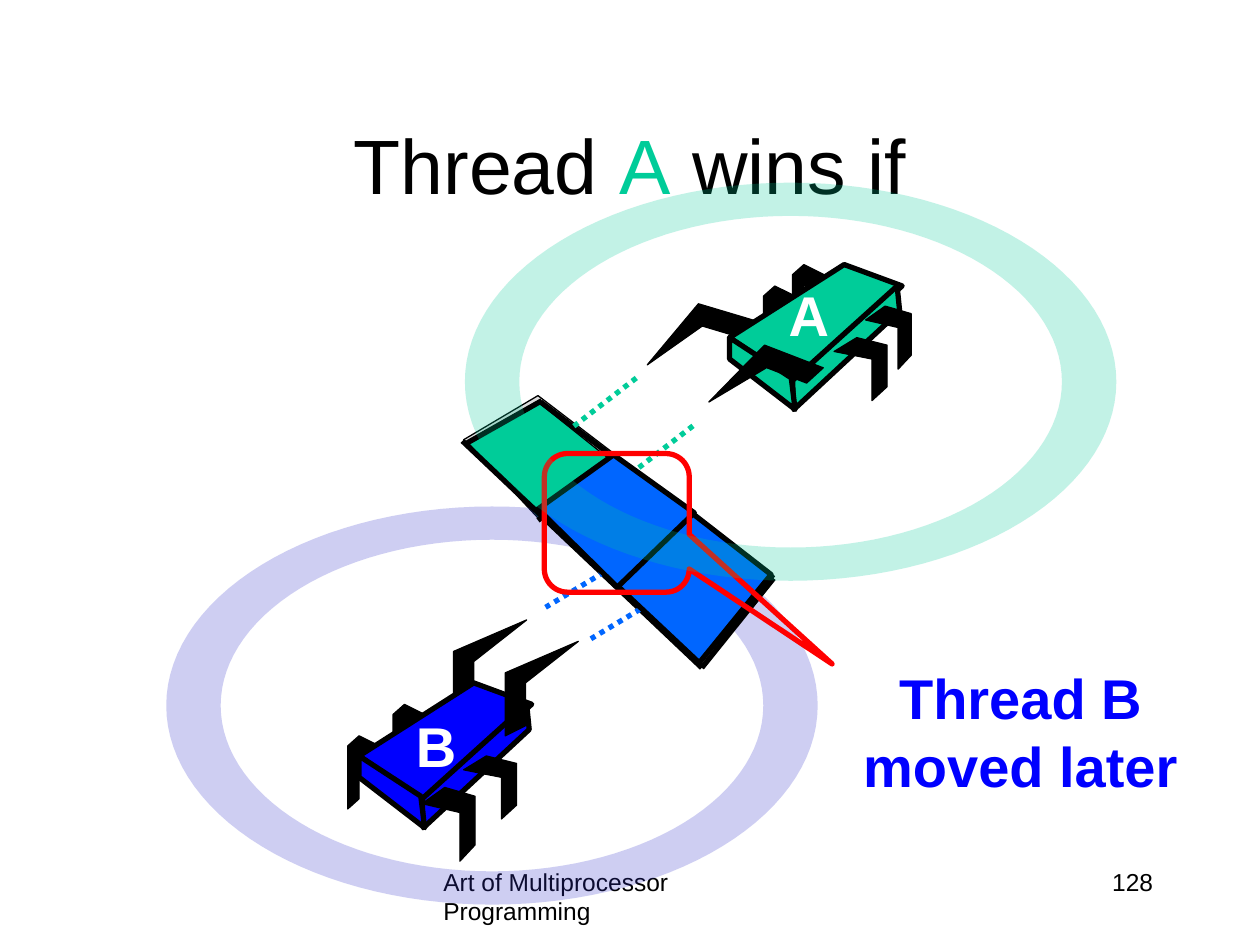
from dataclasses import dataclass
from math import cos, pi, sin

from lxml import etree
from pptx import Presentation
from pptx.dml.color import RGBColor
from pptx.enum.dml import MSO_LINE
from pptx.enum.shapes import MSO_CONNECTOR, MSO_SHAPE
from pptx.enum.text import MSO_ANCHOR, PP_ALIGN
from pptx.oxml.ns import qn
from pptx.util import Inches, Pt


@dataclass(frozen=True)
class Theme:
    font: str = "Arial"
    black: str = "000000"
    white: str = "FFFFFF"
    gray: str = "DDDDDD"
    green: str = "00CC99"
    blue: str = "0000FF"
    cell_blue: str = "0066FF"
    ring_blue: str = "3333CC"
    red: str = "FF0000"
    title: int = 44
    label: int = 32
    footer: int = 14
    thin: float = 0.75
    thick: float = 3


THEME = Theme()

# Outlines in inches, each from its own top left corner
BODY_TOP = [(0.91, 0), (0, 0.58), (0.51, 0.93), (1.37, 0.17)]
BODY_SIDE = [(1.33, 0.17), (0.5, 0.92), (0.51, 1.15), (1.35, 0.37)]
BODY_END = [(0, 0.58), (0, 0.75), (0.52, 1.15), (0.49, 0.9)]
FRONT_LEG = [(0, 0.75), (0.16, 0.67), (0.16, 0.33), (0.58, 0), (0, 0.25)]
BACK_LEG = [(0.25, 0.08), (0.09, 0), (0, 0.08), (0, 0.58), (0.09, 0.5),
            (0.09, 0.16), (0.25, 0.25)]
SIDE_LEG = [(0.18, 0), (0, 0.11), (0.3, 0.17), (0.3, 0.5), (0.42, 0.39), (0.42, 0.06)]
BOARD = [(0.59, 0), (0, 0.35), (1.86, 2.1), (2.45, 1.42)]
FIRST_CELL = [(0.56, 0), (0, 0.32), (0.56, 0.92), (1.16, 0.48)]
MIDDLE_CELL = [(0, 0.43), (0.63, 1.05), (1.24, 0.46), (0.6, 0)]
LAST_CELL = [(0.61, 0), (0, 0.57), (0.68, 1.13), (1.24, 0.49)]
LAST_COVER = [(0.6, 0), (0, 0.57), (0.66, 1.19), (1.23, 0.49)]


def rgb(value):
    return RGBColor.from_string(value)


def shift(origin, offset):
    return origin[0] + offset[0], origin[1] + offset[1]


def add_polygon(shapes, origin, contours, fill, width=THEME.thin):
    """Filled outline of one or more contours; a width of 0 means no line."""
    emu = [[(Inches(x), Inches(y)) for x, y in (shift(origin, p) for p in contour)]
           for contour in contours]
    builder = shapes.build_freeform(*emu[0][0], scale=1.0)
    for index, contour in enumerate(emu):
        if index:
            builder.move_to(*contour[0])
        builder.add_line_segments(contour[1:], close=True)
    shape = builder.convert_to_shape()
    shape.shadow.inherit = False
    shape.fill.solid()
    shape.fill.fore_color.rgb = rgb(fill)
    if width:
        shape.line.color.rgb = rgb(THEME.black)
        shape.line.width = Pt(width)
    else:
        shape.line.fill.background()
    return shape


def add_line(page, origin, start, end, color=THEME.black, dash=None):
    ends = [Inches(v) for point in (start, end) for v in shift(origin, point)]
    line = page.shapes.add_connector(MSO_CONNECTOR.STRAIGHT, *ends)
    line.line.color.rgb = rgb(color)
    line.line.width = Pt(THEME.thick)
    if dash:
        line.line.dash_style = dash
    etree.SubElement(line._element.spPr, qn("a:effectLst"))


def add_text(page, box, spans, size, align=PP_ALIGN.LEFT, bold=False,
             wrap=True, anchor=MSO_ANCHOR.TOP):
    """Text box with one paragraph made of (text, color) spans."""
    frame = page.shapes.add_textbox(*map(Inches, box)).text_frame
    frame.word_wrap = wrap
    frame.vertical_anchor = anchor
    para = frame.paragraphs[0]
    para.alignment = align
    para.font.name, para.font.size, para.font.bold = THEME.font, Pt(size), bold
    for text, color in spans:
        span = para.add_run()
        span.text = text
        span.font.color.rgb = rgb(color)


def add_ring(page, box, color):
    left, top, width, height = box
    center = left + width / 2, top + height / 2
    steps = 120

    def ellipse(radius_x, radius_y, turn):
        angles = [turn * 2 * pi * step / steps for step in range(steps)]
        return [(radius_x * cos(a), radius_y * sin(a)) for a in angles]

    outer = ellipse(width / 2, height / 2, 1)
    hole = ellipse(width / 2 * 0.833, height / 2 * 0.833, -1)
    ring = add_polygon(page.shapes, center, [outer, hole], color, width=0)
    tint = ring._element.spPr.find(qn("a:solidFill"))[0]
    etree.SubElement(tint, qn("a:alpha"), val="24000")


def add_spider(page, origin, color, front_legs, back_legs, side_legs, letter, letter_at):
    """Front legs are (offset, rotation); side legs are (offset, x and y scale)."""
    group = page.shapes.add_group_shape().shapes

    def add_leg(offset, outline):
        return add_polygon(group, shift(origin, offset), [outline], THEME.black)

    def add_front_leg(offset, rotation):
        mirrored = [(0.58 - x, y) for x, y in FRONT_LEG]
        leg = add_leg(offset, mirrored if rotation else FRONT_LEG)
        leg.rotation = rotation

    add_front_leg(*front_legs[0])
    for offset in back_legs:
        add_leg(offset, BACK_LEG)
    for face in (BODY_TOP, BODY_SIDE, BODY_END):
        add_polygon(group, origin, [face], color, THEME.thick)
    for offset, (scale_x, scale_y) in side_legs:
        add_leg(offset, [(x * scale_x, y * scale_y) for x, y in SIDE_LEG])
    add_front_leg(*front_legs[1])
    add_text(page, (*shift(origin, letter_at), 0.53, 0.63), [(letter, THEME.white)],
             THEME.label, PP_ALIGN.RIGHT, bold=True, wrap=False)


def add_board(page, origin):
    for offset, outline, color in [((0, 0), BOARD, THEME.gray),
                                   ((0.61, 0.51), MIDDLE_CELL, THEME.green),
                                   ((0.03, 0.05), FIRST_CELL, THEME.green),
                                   ((1.22, 0.97), LAST_CELL, THEME.gray)]:
        add_polygon(page.shapes, shift(origin, offset), [outline], color)


def add_board_lines(page, origin):
    # Edges and cell borders
    for start, end in [((-0.01, 0.36), (1.89, 2.16)), ((0.61, 0.05), (2.46, 1.45)),
                       ((0.02, 0.38), (0.62, 0.04)), ((1.89, 2.16), (2.46, 1.45)),
                       ((1.24, 1.54), (1.86, 0.99)), ((0.59, 0.99), (1.21, 0.53))]:
        add_line(page, origin, start, end)
    # Dotted reach of each thread
    for start, drop, color in [((1.37, -0.14), (-0.7, 0.54), THEME.green),
                               ((1.82, 0.24), (-0.7, 0.54), THEME.green),
                               ((1.4, 1.23), (-0.75, 0.45), THEME.cell_blue),
                               ((1.76, 1.48), (-0.75, 0.45), THEME.cell_blue)]:
        add_line(page, origin, start, shift(start, drop), color, MSO_LINE.ROUND_DOT)


def add_blue_cells(page, origin):
    group = page.shapes.add_group_shape().shapes
    for offset, outline in [((1.21, 0.93), LAST_COVER), ((0.59, 0.47), MIDDLE_CELL)]:
        add_polygon(group, shift(origin, offset), [outline], THEME.cell_blue, THEME.thick)


def add_callout(page, box):
    callout = page.shapes.add_shape(MSO_SHAPE.ROUNDED_RECTANGULAR_CALLOUT, *map(Inches, box))
    for index, value in enumerate((1.486, 1.018, 0.167)):
        callout.adjustments[index] = value
    callout.shadow.inherit = False
    callout.fill.background()
    callout.line.color.rgb = rgb(THEME.red)
    callout.line.width = Pt(THEME.thick)


def main():
    deck = Presentation()
    deck.slide_width, deck.slide_height = Inches(10), Inches(7.5)
    page = deck.slides.add_slide(deck.slide_layouts[6])
    board = (3.68, 3.14)

    # Footer
    add_text(page, (3.42, 6.83, 3.17, 0.5),
             [("Art of Multiprocessor Programming", THEME.black)], THEME.footer)
    add_text(page, (7.17, 6.83, 2.08, 0.5), [("128", THEME.black)],
             THEME.footer, PP_ALIGN.RIGHT)

    # Board, ring of thread B and title
    add_board(page, board)
    add_ring(page, (1.32, 4.02, 5.17, 3.16), THEME.ring_blue)
    add_text(page, (0.75, 0.67, 8.5, 1.25),
             [("Thread ", THEME.black), ("A", THEME.green), (" wins if", THEME.black)],
             THEME.title, PP_ALIGN.CENTER, anchor=MSO_ANCHOR.MIDDLE)

    # Threads
    add_spider(page, (2.85, 5.42), THEME.blue,
               front_legs=[((0.75, -0.5), 0), ((1.16, -0.33), 0)],
               back_legs=[(-0.09, 0.42), (0.27, 0.17)],
               side_legs=[((0.5, 0.83), (1, 1.17)), ((0.83, 0.58), (1, 1))],
               letter="B", letter_at=(0.34, 0.18))
    add_spider(page, (5.79, 2.1), THEME.green,
               front_legs=[((-0.5, 0.25), 286.6), ((0, 0.58), 291.1)],
               back_legs=[(0.5, 0), (0.27, 0.17)],
               side_legs=[((1.08, 0.33), (0.86, 1)), ((0.83, 0.58), (1, 1))],
               letter="A", letter_at=(0.36, 0.08))

    # Cells taken by thread B, with the remark
    add_board_lines(page, board)
    add_blue_cells(page, board)
    add_text(page, (6.51, 5.22, 3.18, 1.17), [("Thread B moved later", THEME.blue)],
             THEME.label, PP_ALIGN.CENTER, bold=True)
    add_callout(page, (4.32, 3.6, 1.15, 1.1))
    add_ring(page, (3.69, 1.45, 5.17, 3.16), THEME.green)

    deck.save("out.pptx")


if __name__ == "__main__":
    main()
